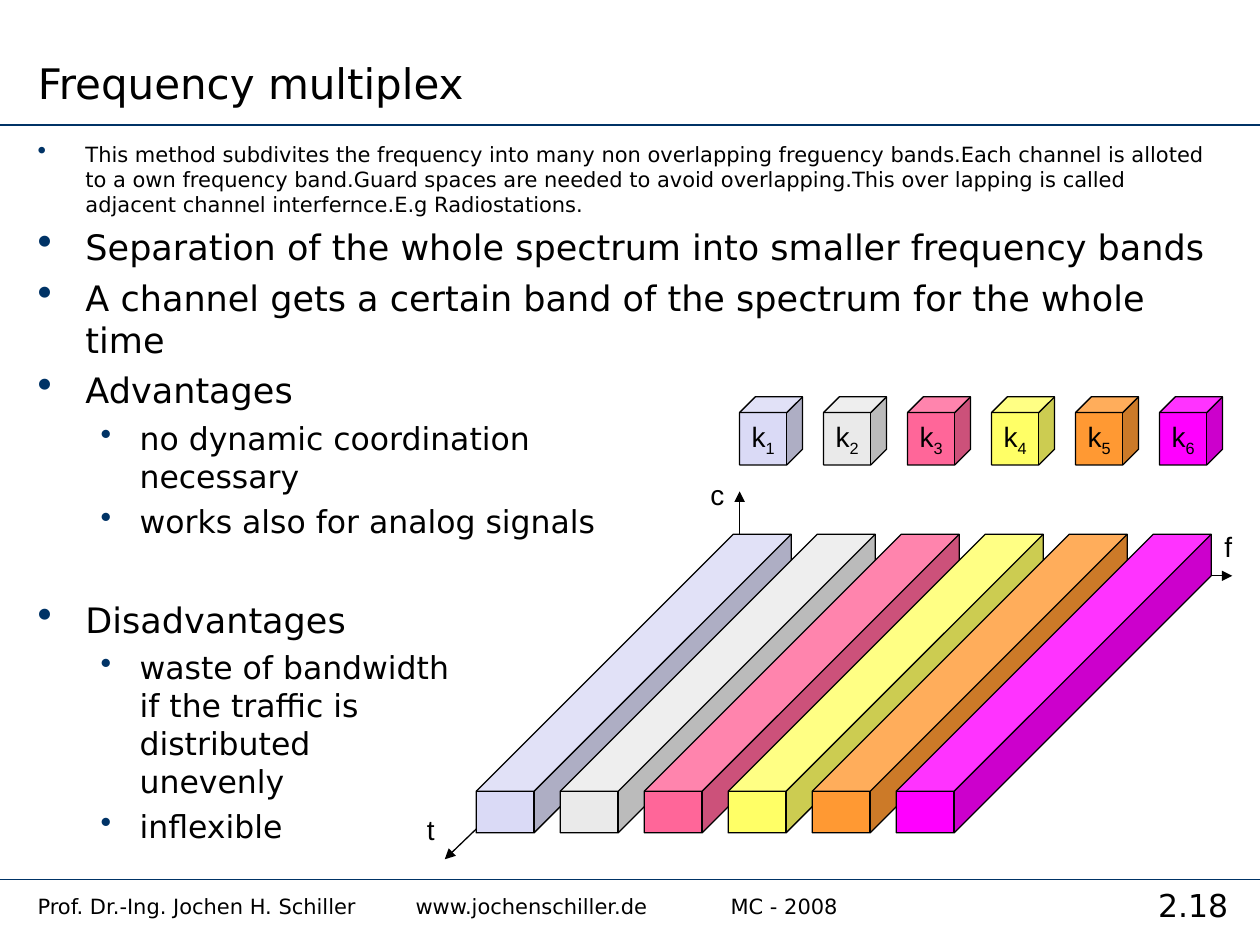
from lxml.etree import SubElement
from pptx import Presentation
from pptx.dml.color import RGBColor
from pptx.enum.shapes import MSO_CONNECTOR, MSO_SHAPE
from pptx.enum.text import MSO_ANCHOR, MSO_AUTO_SIZE, PP_ALIGN
from pptx.oxml.ns import qn
from pptx.util import Inches, Pt

COLORS = {"ink": "000000", "navy": "003366"}
CHANNELS = {"1": "DADAF6", "2": "EAEAEA", "3": "FF6699",
            "4": "FFFF66", "5": "FF9933", "6": "FF00FF"}
HEADING_FONT, DIAGRAM_FONT = "DejaVu Sans", "Arial"
CHANNEL_PITCH = 2 / 3

POINTS = [
    (0, 12, 3, ["This method subdivites the frequency into many non overlapping freguency "
                "bands.Each channel is alloted to a own frequency band.Guard spaces are needed "
                "to avoid overlapping.This over lapping is called adjacent channel "
                "interfernce.E.g Radiostations."]),
    (0, 20, 5, ["Separation of the whole spectrum into smaller frequency bands"]),
    (0, 20, 5, ["A channel gets a certain band of the spectrum for the whole time"]),
    (0, 20, 5, ["Advantages"]),
    (1, 18, 4.5, ["no dynamic coordination ", "necessary"]),
    (1, 18, 4.5, ["works also for analog signals"]),
    (0, 20, 33.3, ["Disadvantages"]),
    (1, 18, 4.5, ["waste of bandwidth ", "if the traffic is ", "distributed ", "unevenly"]),
    (1, 18, 4.5, ["inflexible"]),
]


def rgb(name):
    return RGBColor.from_string(COLORS[name])


def add_run(paragraph, text, size, font):
    run = paragraph.add_run()
    run.text = text
    run.font.size = Pt(size)
    run.font.name = font
    run.font.color.rgb = rgb("ink")
    return run


def add_label(slide, box, text, size, font, align=PP_ALIGN.LEFT, wrap=True):
    label = slide.shapes.add_textbox(*map(Inches, box)).text_frame
    label.word_wrap = wrap
    label.paragraphs[0].alignment = align
    add_run(label.paragraphs[0], text, size, font)


def add_line(slide, start, end, color, width, arrow=False):
    line = slide.shapes.add_connector(MSO_CONNECTOR.STRAIGHT, *map(Inches, (*start, *end)))
    line.line.color.rgb = rgb(color)
    line.line.width = Pt(width)
    if arrow:
        SubElement(line.line._get_or_add_ln(), qn("a:tailEnd"), type="triangle")
    SubElement(line._element.spPr, qn("a:effectLst"))


def add_cube(slide, box, depth, fill):
    cube = slide.shapes.add_shape(MSO_SHAPE.CUBE, *map(Inches, box))
    cube.adjustments[0] = depth
    cube.shadow.inherit = False
    cube.fill.solid()
    cube.fill.fore_color.rgb = RGBColor.from_string(fill)
    cube.line.color.rgb = rgb("ink")
    cube.line.width = Pt(0.75)
    return cube


def add_bullet(paragraph, level):
    margin, hang = [(0.38, 0.38), (0.81, 0.31)][level]
    properties = paragraph._p.get_or_add_pPr()
    properties.set("marL", str(Inches(margin)))
    properties.set("indent", str(-Inches(hang)))
    bullet_color = SubElement(properties, qn("a:buClr"))
    SubElement(bullet_color, qn("a:srgbClr"), val=COLORS["navy"])
    if level == 0:
        SubElement(properties, qn("a:buSzPct"), val="120000")
    SubElement(properties, qn("a:buChar"), char="•")


def place_title(slide, box):
    title = slide.shapes.title
    title.left, title.top, title.width, title.height = map(Inches, box)
    frame = title.text_frame
    frame.auto_size = MSO_AUTO_SIZE.NONE
    frame.vertical_anchor = MSO_ANCHOR.BOTTOM
    frame.paragraphs[0].alignment = PP_ALIGN.LEFT
    add_run(frame.paragraphs[0], "Frequency multiplex", 24, HEADING_FONT)


def place_points(slide, box):
    frame = slide.shapes.add_textbox(*map(Inches, box)).text_frame
    frame.word_wrap = True
    for index, (level, size, gap, lines) in enumerate(POINTS):
        paragraph = frame.add_paragraph() if index else frame.paragraphs[0]
        paragraph.level = level
        paragraph.space_before = Pt(gap)
        add_bullet(paragraph, level)
        for row, line in enumerate(lines):
            if row:
                paragraph.add_line_break()
            add_run(paragraph, line, size, HEADING_FONT)


def place_axes(slide, origin):
    x, y = origin
    axes = [("t", (-2.34, 2.25), (-2.58, 1.83, 0.26, 0.37)),
            ("c", (0, -0.67), (-0.33, -0.83, 0.31, 0.37)),
            ("f", (3.91, 0), (3.75, -0.42, 0.26, 0.37))]
    for name, (dx, dy), (left, top, width, height) in axes:
        add_line(slide, origin, (x + dx, y + dy), "ink", 0.75, arrow=True)
        add_label(slide, (x + left, y + top, width, height), name, 16, DIAGRAM_FONT, wrap=False)


def place_bands(slide, box):
    left, top, width, height = box
    for index, fill in enumerate(CHANNELS.values()):
        add_cube(slide, (left + index * CHANNEL_PITCH, top, width, height), 0.861, fill)


def place_channel_keys(slide, box):
    left, top, width, height = box
    for index, (number, fill) in enumerate(CHANNELS.items()):
        key = add_cube(slide, (left + index * CHANNEL_PITCH, top, width, height), 0.25, fill)
        frame = key.text_frame
        frame.word_wrap = False
        frame.vertical_anchor = MSO_ANCHOR.MIDDLE
        frame.paragraphs[0].alignment = PP_ALIGN.CENTER
        add_run(frame.paragraphs[0], "k", 16, DIAGRAM_FONT)
        subscript = add_run(frame.paragraphs[0], number, 16, DIAGRAM_FONT)
        subscript.font._element.set("baseline", "-25000")


def place_footer(slide, box):
    left, top, width, height = box
    add_line(slide, (left, top), (left + width, top), "navy", 1)
    add_label(slide, (left + 0.2, top + 0.06, 8.74, 0.33),
              "Prof. Dr.-Ing. Jochen H. Schiller\twww.jochenschiller.de\t\tMC - 2008",
              12, HEADING_FONT)
    add_label(slide, (left + width - 1.06, top, 1.06, 0.44), "2.18", 18, HEADING_FONT,
              PP_ALIGN.CENTER)


def main():
    presentation = Presentation()
    presentation.slide_width, presentation.slide_height = Inches(10), Inches(7.5)
    slide = presentation.slides.add_slide(presentation.slide_layouts[5])
    place_title(slide, (0.2, 0, 6.61, 0.91))
    add_line(slide, (0, 0.99), (10, 0.99), "navy", 1)
    place_points(slide, (0.2, 1.07, 9.61, 5.85))
    place_axes(slide, (5.87, 4.57))
    place_bands(slide, (3.78, 4.24, 2.5, 2.37))
    place_channel_keys(slide, (5.87, 3.15, 0.5, 0.54))
    place_footer(slide, (0, 6.98, 10, 0.52))
    presentation.save("out.pptx")


if __name__ == "__main__":
    main()
